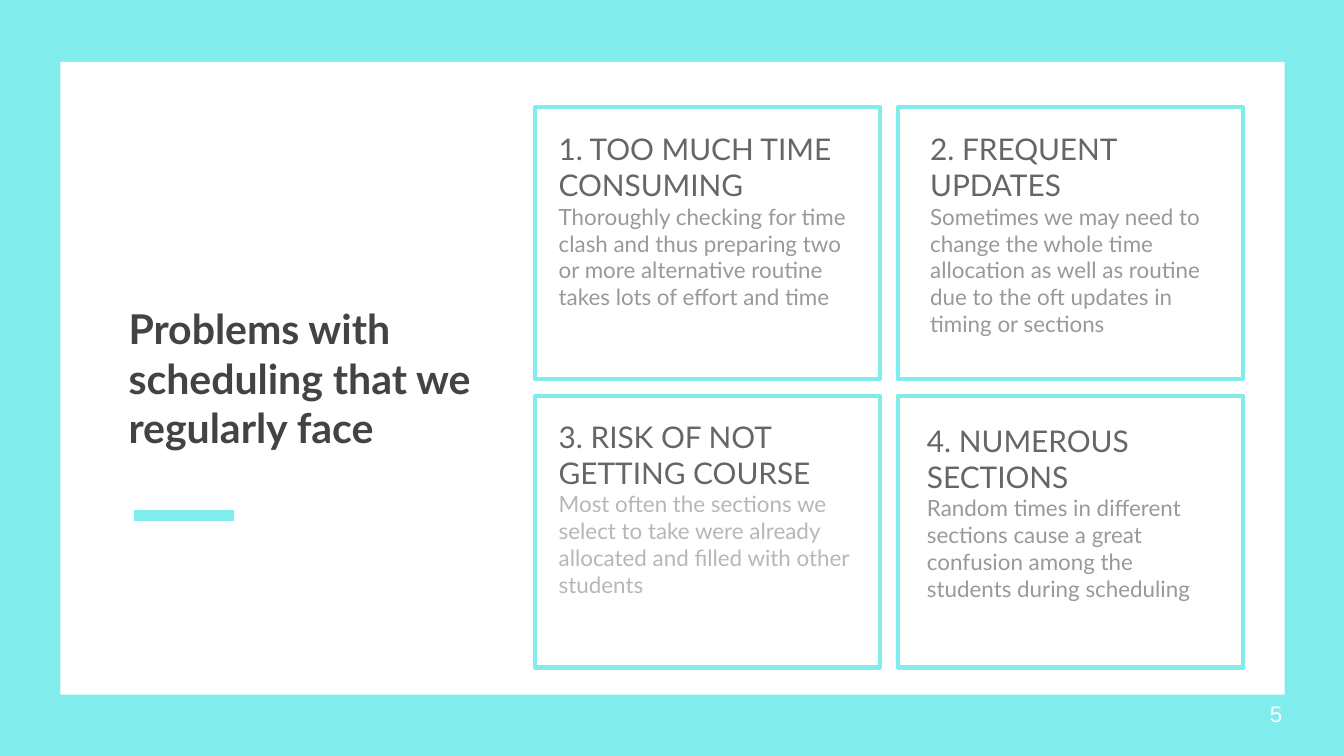
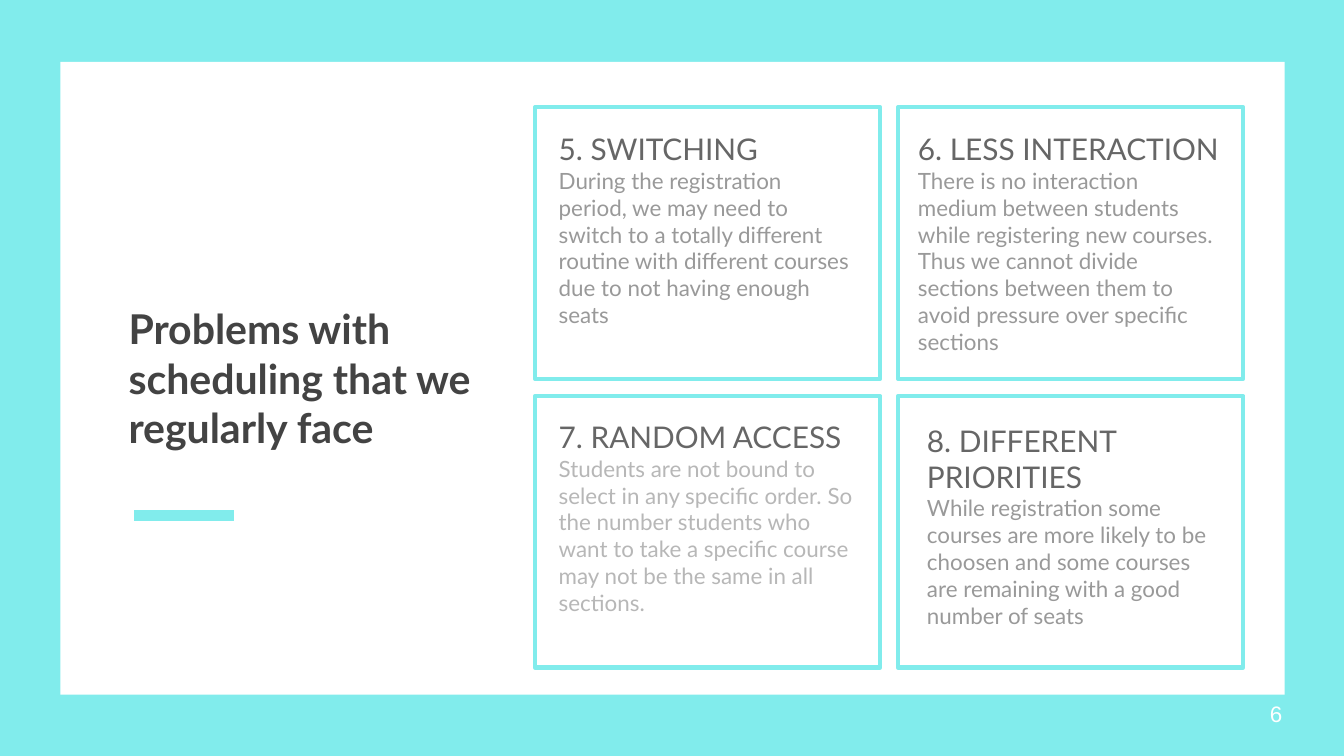
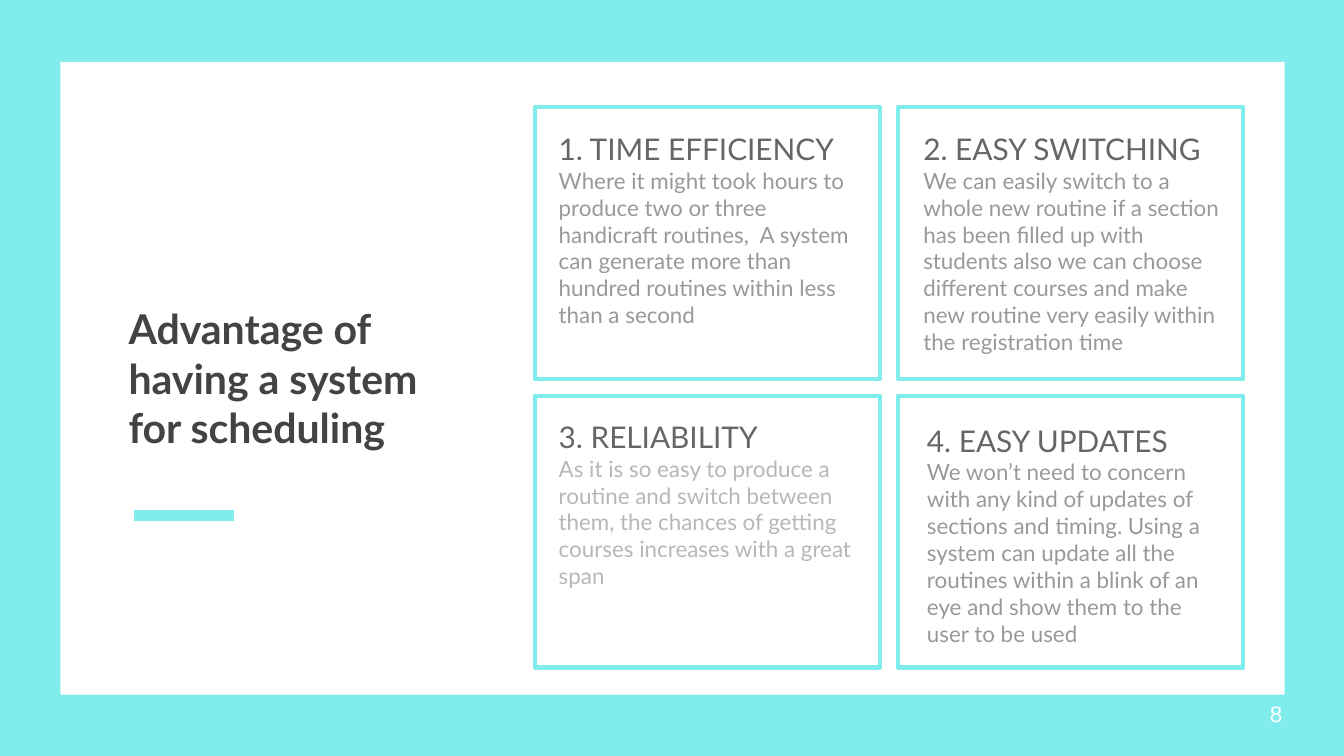
from collections import namedtuple

from lxml import etree
from pptx import Presentation
from pptx.dml.color import RGBColor
from pptx.enum.shapes import MSO_CONNECTOR, MSO_SHAPE
from pptx.enum.text import MSO_ANCHOR
from pptx.oxml.ns import qn
from pptx.util import Cm, Pt

AQUA = "81ECEC"
WHITE = "FFFFFF"
TITLE_GREY = "434343"
HEADING_GREY = "666666"
BODY_GREY = "999999"
PALE_GREY = "B7B7B7"

# All boxes are in centimetres
Box = namedtuple("Box", "left top width height")
Card = namedtuple("Card", "heading body inset text_width")

PANEL = Box(1.14, 1.17, 23.14, 11.96)
TITLE = Box(2.18, 4.83, 7.06, 4.62)
GRID = Box(10.11, 2.03, 13.39, 10.59)
NUMBER = Box(23.75, 12.95, 1.52, 1.09)
GRID_GAP = 0.33
# Top inset, height and body colour of the text in each card, by position
CARD_STYLES = [
    (0.2, 4.5, BODY_GREY),
    (0.2, 4.5, BODY_GREY),
    (0.18, 4.6, PALE_GREY),
    (0.25, 4.57, BODY_GREY),
]

PROBLEMS = "Problems with scheduling that we regularly face"
SLIDES = [
    (5, PROBLEMS, [
        Card("1. TOO MUCH TIME CONSUMING",
             "Thoroughly checking for time clash and thus preparing two or more "
             "alternative routine takes lots of effort and time", 0.2, 6.05),
        Card("2. FREQUENT UPDATES",
             "Sometimes we may need to change the whole time allocation as well as "
             "routine due to the oft updates in timing or sections", 0.36, 5.84),
        Card("3. RISK OF NOT GETTING COURSE",
             "Most often the sections we select to take were already allocated and "
             "filled with other students", 0.2, 6.2),
        Card("4. NUMEROUS SECTIONS",
             "Random times in different sections cause a great confusion among the "
             "students during scheduling", 0.3, 5.92),
    ]),
    (6, PROBLEMS, [
        Card("5. SWITCHING",
             "During the registration period, we may need to switch to a totally "
             "different routine with different courses due to not having enough seats",
             0.2, 6.05),
        Card("6. LESS INTERACTION",
             "There is no interaction medium between students while registering new "
             "courses. Thus we cannot divide sections between them to avoid pressure "
             "over specific sections", 0.13, 6.22),
        Card("7. RANDOM ACCESS",
             "Students are not bound to select in any specific order. So the number "
             "students who want to take a specific course may not be the same in all "
             "sections.", 0.2, 6.2),
        Card("8. DIFFERENT PRIORITIES",
             "While registration some courses are more likely to be choosen and some "
             "courses are remaining with a good number of seats", 0.3, 6.07),
    ]),
    (8, "Advantage of having a system for scheduling", [
        Card("1. TIME EFFICIENCY",
             "Where it might took hours to produce two or three handicraft routines,  "
             "A system can generate more than hundred routines within less than a "
             "second", 0.2, 6.05),
        Card("2. EASY SWITCHING",
             "We can easily switch to a whole new routine if a section has been filled "
             "up with students also we can choose different courses and make new "
             "routine very easily within the registration time", 0.23, 6.32),
        Card("3. RELIABILITY",
             "As it is so easy to produce a routine and switch between them, the "
             "chances of getting courses increases with a great span", 0.2, 6.2),
        Card("4. EASY UPDATES",
             "We won’t need to concern with any kind of updates of sections and "
             "timing. Using a system can update all the routines within a blink of an "
             "eye and show them to the user to be used", 0.3, 5.87),
    ]),
]


def color(value):
    return RGBColor.from_string(value)


def add_rect(page, box, fill=None, line=None):
    rect = page.shapes.add_shape(MSO_SHAPE.RECTANGLE, *map(Cm, box))
    rect.shadow.inherit = False
    if fill:
        rect.fill.solid()
        rect.fill.fore_color.rgb = color(fill)
    else:
        rect.fill.background()
    if line:
        rect.line.color.rgb = color(line)
        rect.line.width = Pt(2.25)
    else:
        rect.line.fill.background()


def add_text_frame(page, box, anchor=MSO_ANCHOR.TOP):
    """Add an empty wrapping text box and return its first paragraph."""
    frame = page.shapes.add_textbox(*map(Cm, box)).text_frame
    frame.word_wrap = True
    frame.vertical_anchor = anchor
    frame.margin_left = frame.margin_right = Cm(0.25)
    frame.margin_top = frame.margin_bottom = Cm(0.25)
    return frame.paragraphs[0]


def add_span(para, text, size=12, fill=BODY_GREY, font="Lato", bold=False):
    span = para.add_run()
    span.text = text
    span.font.size = Pt(size)
    span.font.name = font
    span.font.bold = bold
    span.font.color.rgb = color(fill)


def add_title(page, box, text):
    """Write the title with a short dash below it."""
    para = add_text_frame(page, box, MSO_ANCHOR.MIDDLE)
    add_span(para, text, size=22, fill=TITLE_GREY, bold=True)
    left, top = box.left + 0.36, box.top + box.height + 0.3
    dash = page.shapes.add_connector(
        MSO_CONNECTOR.STRAIGHT, Cm(left), Cm(top), Cm(left + 1.88), Cm(top))
    dash.line.color.rgb = color(AQUA)
    dash.line.width = Pt(6)
    etree.SubElement(dash._element.spPr, qn("a:effectLst"))


def add_card(page, box, card, style):
    top_inset, text_height, body_color = style
    add_rect(page, box, line=AQUA)
    para = add_text_frame(page, Box(box.left + card.inset, box.top + top_inset,
                                    card.text_width, text_height))
    add_span(para, card.heading, size=16, fill=HEADING_GREY)
    para.add_line_break()
    add_span(para, card.body, fill=body_color)


def add_card_grid(page, box, cards):
    """Place four cards in two rows of two."""
    width = (box.width - GRID_GAP) / 2
    height = (box.height - GRID_GAP) / 2
    for index, (card, style) in enumerate(zip(cards, CARD_STYLES)):
        row, column = divmod(index, 2)
        cell = Box(box.left + column * (width + GRID_GAP),
                   box.top + row * (height + GRID_GAP), width, height)
        add_card(page, cell, card, style)


def add_page(deck, number, title, cards):
    page = deck.slides.add_slide(deck.slide_layouts[6])
    page.background.fill.solid()
    page.background.fill.fore_color.rgb = color(AQUA)
    add_rect(page, PANEL, fill=WHITE)
    add_title(page, TITLE, title)
    add_card_grid(page, GRID, cards)
    number_para = add_text_frame(page, NUMBER, MSO_ANCHOR.MIDDLE)
    add_span(number_para, str(number), fill=WHITE, font="Arial")


def main():
    deck = Presentation()
    deck.slide_width = Cm(25.4)
    deck.slide_height = Cm(14.29)
    for number, title, cards in SLIDES:
        add_page(deck, number, title, cards)
    deck.save("out.pptx")


if __name__ == "__main__":
    main()
